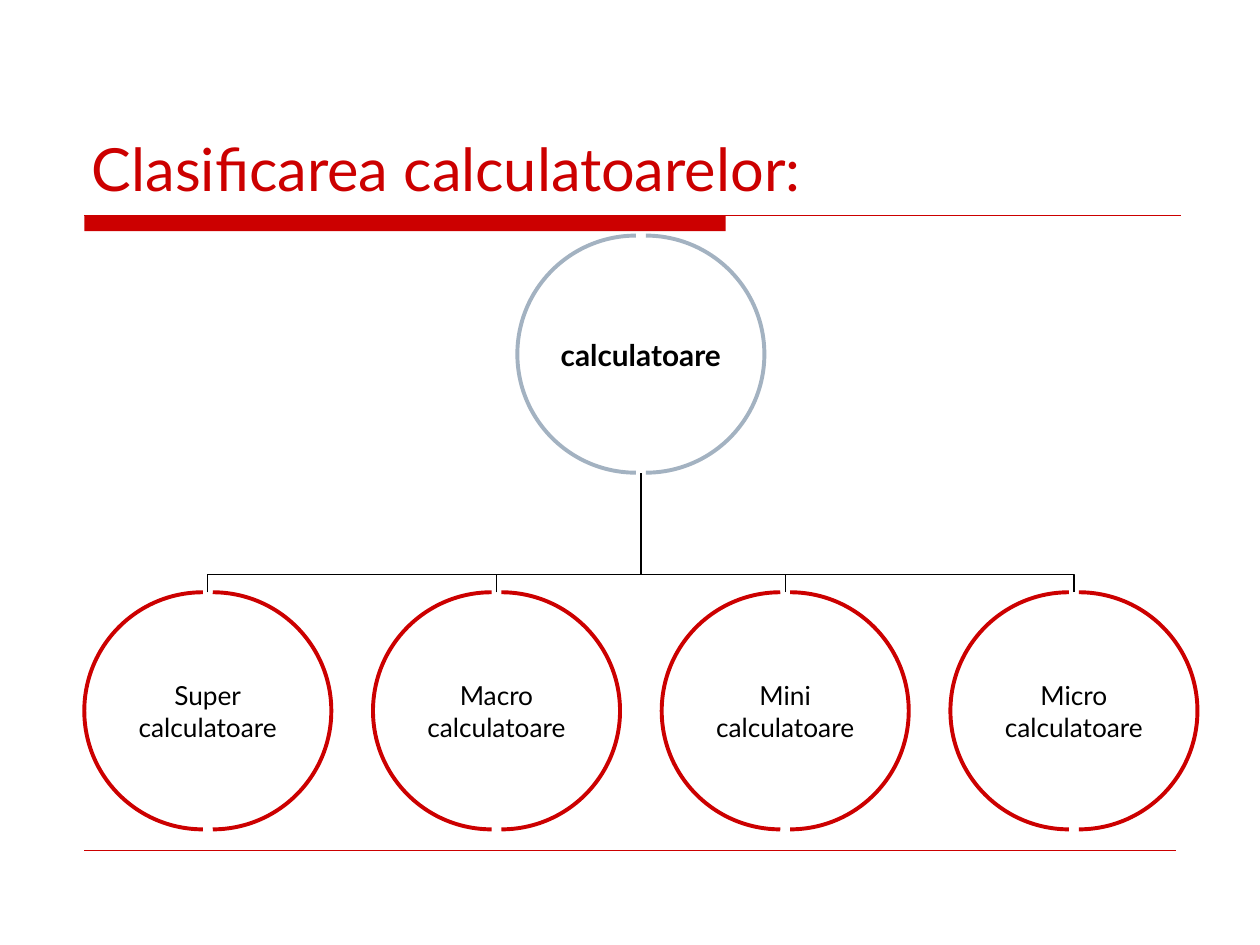
"""Build the slide that classifies computers as a small tree."""
import pptx
import pptx.dml.color
import pptx.enum.shapes
import pptx.enum.text
import pptx.oxml
import pptx.oxml.ns
import pptx.util
from pptx.util import Cm

FONT = "Lato"
RED, GREY, BLACK = "CC0000", "A3B2C1", "000000"
NODE_WIDTH, NODE_HEIGHT = 4.98, 4.78
FIRST_CENTER, PITCH = 4.19, 5.82
ROOT_TOP, BRANCH_TOP = 4.75, 11.94
BRANCHES = ["Super", "Macro", "Mini", "Micro"]


def rgb(value):
    """Turn a hex string into a colour."""
    return pptx.dml.color.RGBColor.from_string(value)


def style_font(paragraph, size, color, bold=False):
    """Set the font of a whole paragraph."""
    font = paragraph.font
    font.name, font.size, font.bold = FONT, pptx.util.Pt(size), bold
    font.color.rgb = rgb(color)


def add_title(slide, text):
    """Place and format the title placeholder."""
    title = slide.shapes.title
    title.left, title.top = Cm(1.6), Cm(0.84)
    title.width, title.height = Cm(22.22), Cm(3.38)
    frame = title.text_frame
    frame.text = text
    frame.word_wrap = True
    frame.auto_size = pptx.enum.text.MSO_AUTO_SIZE.NONE
    frame.vertical_anchor = pptx.enum.text.MSO_ANCHOR.BOTTOM
    frame.paragraphs[0].alignment = pptx.enum.text.PP_ALIGN.LEFT
    style_font(frame.paragraphs[0], 34, RED)


def add_bar(slide, left, top, width, height):
    """Add a solid red bar."""
    bar = slide.shapes.add_shape(
        pptx.enum.shapes.MSO_SHAPE.RECTANGLE, Cm(left), Cm(top), Cm(width), Cm(height))
    bar.shadow.inherit = False
    bar.fill.solid()
    bar.fill.fore_color.rgb = rgb(RED)
    bar.line.fill.background()


def add_line(slide, kind, start, end, color, weight):
    """Add a connector without a shadow between two points."""
    line = slide.shapes.add_connector(kind, *(Cm(value) for value in (*start, *end)))
    line.line.color.rgb = rgb(color)
    line.line.width = pptx.util.Pt(weight)
    effects = pptx.oxml.parse_xml(f"<a:effectLst {pptx.oxml.ns.nsdecls('a')}/>")
    line._element.spPr.append(effects)
    return line


def add_rule(slide, left, right, y, weight):
    """Add a horizontal red rule."""
    add_line(slide, pptx.enum.shapes.MSO_CONNECTOR.STRAIGHT,
             (left, y), (right, y), RED, weight)


def add_branch_link(slide, branch_center, root_center):
    """Link a branch to the root by an elbow turned a quarter to run upwards."""
    root_bottom = ROOT_TOP + NODE_HEIGHT
    rise, run = BRANCH_TOP - root_bottom, branch_center - root_center
    x, y = (branch_center + root_center) / 2, (BRANCH_TOP + root_bottom) / 2
    link = add_line(slide, pptx.enum.shapes.MSO_CONNECTOR.ELBOW,
                    (x - rise / 2, y + run / 2), (x + rise / 2, y - run / 2), BLACK, 0.75)
    properties = link._element.spPr
    properties.find(pptx.oxml.ns.qn("a:xfrm")).set("rot", "16200000")
    geometry = properties.find(pptx.oxml.ns.qn("a:prstGeom"))
    geometry.get_or_add_avLst().append(pptx.oxml.parse_xml(
        f'<a:gd {pptx.oxml.ns.nsdecls("a")} name="adj1" fmla="val 15000"/>'))


def add_node(slide, center, top, lines, color, size, bold=False):
    """Add a round bracket pair with centred text."""
    node = slide.shapes.add_shape(
        pptx.enum.shapes.MSO_SHAPE.DOUBLE_BRACKET,
        Cm(center - NODE_WIDTH / 2), Cm(top), Cm(NODE_WIDTH), Cm(NODE_HEIGHT))
    node.adjustments[0] = 0.5
    node.shadow.inherit = False
    node.fill.background()
    node.line.color.rgb = rgb(color)
    node.line.width = pptx.util.Pt(2.25)
    frame = node.text_frame
    frame.margin_left = frame.margin_right = frame.margin_top = frame.margin_bottom = 0
    frame.word_wrap = False
    frame.vertical_anchor = pptx.enum.text.MSO_ANCHOR.MIDDLE
    frame.text = "\n".join(lines)
    for paragraph in frame.paragraphs:
        paragraph.alignment = pptx.enum.text.PP_ALIGN.CENTER
        style_font(paragraph, size, BLACK, bold)


def main():
    """Build and save the slide."""
    deck = pptx.Presentation()
    deck.slide_width, deck.slide_height = Cm(25.4), Cm(19.05)
    slide = deck.slides.add_slide(deck.slide_layouts[5])
    add_title(slide, "Clasificarea calculatoarelor:")
    add_bar(slide, 1.7, 4.34, 12.93, 0.32)
    add_rule(slide, 1.7, 23.8, 4.34, 0.75)
    add_rule(slide, 1.7, 23.7, 17.15, 0.25)

    centers = [FIRST_CENTER + PITCH * index for index in range(len(BRANCHES))]
    root_center = (centers[0] + centers[-1]) / 2
    for center in centers:
        add_branch_link(slide, center, root_center)
    add_node(slide, root_center, ROOT_TOP, ["calculatoare"], GREY, 17, bold=True)
    for center, branch in zip(centers, BRANCHES):
        add_node(slide, center, BRANCH_TOP, [branch, "calculatoare"], RED, 15)
    deck.save("out.pptx")


if __name__ == "__main__":
    main()
